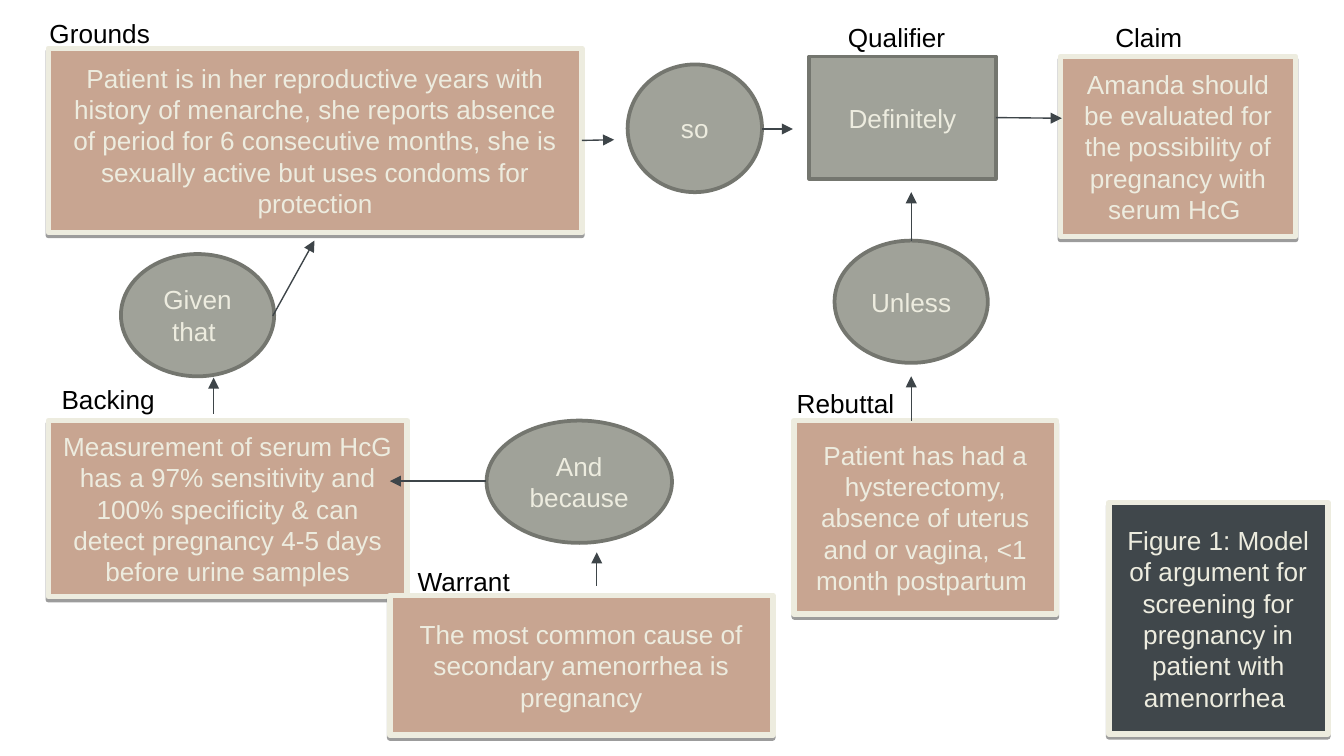
from lxml.etree import SubElement
from pptx import Presentation
from pptx.dml.color import RGBColor
from pptx.enum.shapes import MSO_CONNECTOR, MSO_SHAPE
from pptx.enum.text import MSO_ANCHOR, MSO_AUTO_SIZE, PP_ALIGN
from pptx.oxml.ns import qn
from pptx.util import Inches, Pt

WIDTH = 10
HEIGHT = WIDTH * 9 / 16
CREAM, TAN, SLATE = "EDECDF", "C8A591", "40474B"
GRAY, DARK_GRAY, ARROW, BLACK = "A0A299", "74766F", "3E4549", "000000"
ROW = 3.13        # shared top of the lower row
LINK_HEIGHT = 0.91
LABEL_SIZE = (1.14, 0.34)

# Statement cards: name -> (text, fill, left, top, width, height)
CARDS = {
    "Grounds": ("Patient is in her reproductive years with history of menarche, she reports "
                "absence of period for 6 consecutive months, she is sexually active but uses "
                "condoms for protection", TAN, 0.36, 0.36, 3.97, 1.37),
    "Backing": ("Measurement of serum HcG has a 97% sensitivity and 100% specificity & can "
                "detect pregnancy 4-5 days before urine samples", TAN, 0.36, ROW, 2.67, 1.31),
    "Figure": ("Figure 1: Model of argument for screening for pregnancy in patient with "
               "amenorrhea ", SLATE, 8.25, 3.74, 1.63, 1.72),
    "Warrant": ("The most common cause of secondary amenorrhea is pregnancy",
                TAN, 2.9, 4.43, 2.85, 1.04),
    "Claim": ("Amanda should be evaluated for the possibility of pregnancy with serum HcG ",
              TAN, 7.89, 0.42, 1.75, 1.34),
    "Rebuttal": ("Patient has had a hysterectomy, absence of uterus and or vagina, <1 month "
                 "postpartum ", TAN, 5.91, ROW, 1.95, 1.44),
}

# Linking words: name -> (text, shape, left, top, width, height)
LINKS = {
    "So": ("so", MSO_SHAPE.OVAL, 4.67, 0.48, 1, 0.95),
    "Qualifier": ("Definitely", MSO_SHAPE.RECTANGLE, 6.02, 0.42, 1.39, LINK_HEIGHT),
    "Unless": ("Unless ", MSO_SHAPE.OVAL, 6.21, 1.79, 1.14, LINK_HEIGHT),
    "Given": ("Given that ", MSO_SHAPE.OVAL, 0.9, 1.89, 1.14, LINK_HEIGHT),
    "Because": ("And because ", MSO_SHAPE.OVAL, 3.62, ROW, 1.38, LINK_HEIGHT),
}

# Labels: (text, left, top)
LABELS = [
    ("Grounds", 0.27, 0.08), ("Qualifier", 6.21, 0.11), ("Claim", 8.2, 0.11),
    ("Backing", 0.36, 2.8), ("Warrant", 3.01, 4.16), ("Rebuttal", 5.83, 2.83),
]

# Arrows: (start, end, rectangle whose right side it leaves from)
ARROWS = [
    ((4.33, 1.04), (4.57, 1.04), "Grounds"),
    ((5.67, 0.96), (5.9, 0.96), None),
    ((7.41, 0.88), (7.9, 0.88), "Qualifier"),
    ((6.78, ROW), (6.78, 2.8), None),
    ((6.78, 1.79), (6.78, 1.43), None),
    ((4.44, 4.36), (4.44, 4.11), None),
    ((3.62, 3.58), (2.9, 3.58), None),
    ((1.59, 3.08), (1.59, 2.81), None),
    ((2.03, 2.35), (2.34, 1.79), None),
]


def color(value):
    return RGBColor.from_string(value)


def write(shape, text, ink, align):
    frame = shape.text_frame
    frame.word_wrap = True
    frame.text = text
    para = frame.paragraphs[0]
    para.alignment = align
    font = para.runs[0].font
    font.name, font.size = "Arial", Pt(14)
    font.color.rgb = color(ink)


def add_node(page, kind, text, place, fill, line, weight):
    node = page.shapes.add_shape(kind, *map(Inches, place))
    node.shadow.inherit = False
    node.fill.solid()
    node.fill.fore_color.rgb = color(fill)
    node.line.color.rgb = color(line)
    node.line.width = Pt(weight)
    node.text_frame.vertical_anchor = MSO_ANCHOR.MIDDLE
    write(node, text, CREAM, PP_ALIGN.CENTER)
    return node


def add_drop_shadow(shape):
    effects = shape._element.spPr.find(qn("a:effectLst"))
    shadow = SubElement(effects, qn("a:outerShdw"), dist=str(Pt(1.6)), dir="5400000",
                        algn="ctr", rotWithShape="0")
    tint = SubElement(shadow, qn("a:srgbClr"), val=BLACK)
    SubElement(tint, qn("a:alpha"), val="38000")


def add_arrow(page, start, end):
    arrow = page.shapes.add_connector(MSO_CONNECTOR.STRAIGHT, *map(Inches, start + end))
    arrow.line.color.rgb = color(ARROW)
    arrow.line.width = Pt(0.75)
    properties = arrow._element.spPr
    SubElement(properties.find(qn("a:ln")), qn("a:tailEnd"), type="triangle")
    SubElement(properties, qn("a:effectLst"))
    return arrow


deck = Presentation()
deck.slide_width, deck.slide_height = Inches(WIDTH), Inches(HEIGHT)
page = deck.slides.add_slide(deck.slide_layouts[6])
nodes = {}

# Cards
for name, (text, fill, *place) in CARDS.items():
    nodes[name] = add_node(page, MSO_SHAPE.RECTANGLE, text, place, fill, CREAM, 3)
    add_drop_shadow(nodes[name])

# Linking words
for name, (text, kind, *place) in LINKS.items():
    nodes[name] = add_node(page, kind, text, place, GRAY, DARK_GRAY, 2)

# Labels
for text, left, top in LABELS:
    box = page.shapes.add_textbox(*map(Inches, (left, top) + LABEL_SIZE))
    write(box, text, BLACK, PP_ALIGN.LEFT)
    box.text_frame.auto_size = MSO_AUTO_SIZE.SHAPE_TO_FIT_TEXT

# Arrows
for start, end, source in ARROWS:
    arrow = add_arrow(page, start, end)
    if source:
        arrow.begin_connect(nodes[source], 3)

deck.save("out.pptx")
